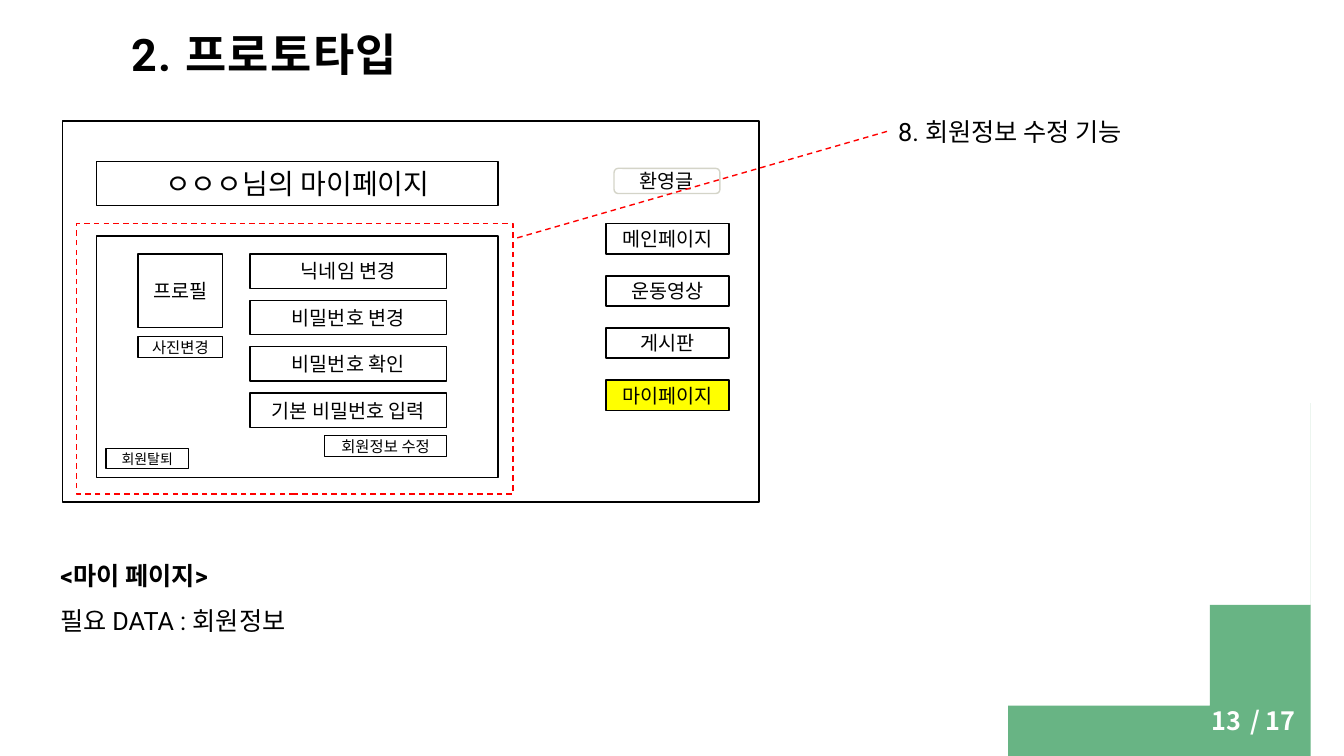
"""Builds the my-page prototype slide with its wireframe, callout and page number."""
import pptx
import pptx.util
import pptx.dml.color
import pptx.enum.dml
import pptx.enum.shapes
import pptx.enum.text
import pptx.oxml
import pptx.oxml.ns

Inches, Pt = pptx.util.Inches, pptx.util.Pt
RGBColor = pptx.dml.color.RGBColor
SHAPE = pptx.enum.shapes.MSO_SHAPE
ANCHOR = pptx.enum.text.MSO_ANCHOR
ALIGN = pptx.enum.text.PP_ALIGN

BLACK = RGBColor(0x00, 0x00, 0x00)
WHITE = RGBColor(0xFF, 0xFF, 0xFF)
GREEN = RGBColor(0x68, 0xB4, 0x84)
YELLOW = RGBColor(0xFF, 0xFF, 0x00)
RED = RGBColor(0xFF, 0x00, 0x00)
GREY = RGBColor(0xD4, 0xD4, 0xC8)
KOREAN, LATIN = "Noto Sans CJK KR", "Roboto"

TITLE = "2. 프로토타입"
CALLOUT = "8. 회원정보 수정 기능"
PAGE_NAME = "<마이 페이지>"
PAGE_DATA = "필요 DATA : 회원정보"
PAGE_NUMBER, PAGE_TOTAL = "13", "/ 17"

MENU = ["메인페이지", "운동영상", "게시판", "마이페이지"]
CURRENT_MENU = "마이페이지"
FIELDS = ["닉네임 변경", "비밀번호 변경", "비밀번호 확인", "기본 비밀번호 입력"]
PANELS = [
    ("", (0.62, 1.2, 6.91, 3.78), 14),
    ("ㅇㅇㅇ님의 마이페이지", (0.96, 1.6, 3.98, 0.44), 20),
    ("", (0.96, 2.34, 3.98, 2.4), 14),
    ("프로필", (1.37, 2.52, 0.84, 0.73), 14),
    ("사진변경", (1.37, 3.34, 0.84, 0.21), 11),
    ("회원정보 수정", (3.22, 4.32, 1.21, 0.21), 11),
    ("회원탈퇴", (1.05, 4.45, 0.82, 0.2), 10),
]
MENU_TOP, MENU_STEP = 2.22, 0.517
FIELD_TOP, FIELD_STEP = 2.52, 0.46
CURVE = [(9.71, 7.5), (11.67, 7.41), (13.23, 5.87), (13.33, 3.96)]
CURVE_STEPS = 60

deck = pptx.Presentation()
deck.slide_width, deck.slide_height = Inches(13.33), Inches(7.5)
slide = deck.slides.add_slide(deck.slide_layouts[6])


def write(frame, text, size=18, font=KOREAN, color=BLACK, bold=False,
          align=ALIGN.LEFT, spacing=None, tracking=None, new=False):
    """Adds one formatted paragraph to a text frame."""
    paragraph = frame.add_paragraph() if new else frame.paragraphs[0]
    paragraph.alignment = align
    if spacing:
        paragraph.line_spacing = spacing
    run = paragraph.add_run()
    run.text = text
    run.font.size, run.font.bold = Pt(size), bold
    run.font.color.rgb = color
    run.font.name = font
    properties = run.font._element
    east_asian = pptx.oxml.parse_xml(
        f'<a:ea {pptx.oxml.ns.nsdecls("a")} typeface="{KOREAN}"/>')
    properties.append(east_asian)
    if tracking:
        properties.set("spc", str(tracking))


def text_box(place):
    """Adds an empty wrapping text box and returns its frame."""
    frame = slide.shapes.add_textbox(*map(Inches, place)).text_frame
    frame.word_wrap = True
    return frame


def panel(text, place, size=14, fill=WHITE, line=BLACK, kind=SHAPE.RECTANGLE):
    """Adds one outlined wireframe part with a centred label."""
    box = slide.shapes.add_shape(kind, *map(Inches, place))
    box.shadow.inherit = False
    if fill is None:
        box.fill.background()
    else:
        box.fill.solid()
        box.fill.fore_color.rgb = fill
    box.line.color.rgb, box.line.width = line, Pt(1)
    if text:
        box.text_frame.word_wrap = True
        box.text_frame.vertical_anchor = ANCHOR.MIDDLE
        write(box.text_frame, text, size=size, align=ALIGN.CENTER)
    return box


def curve_point(t):
    """Returns the point at t on the corner's cubic curve."""
    weights = ((1 - t) ** 3, 3 * t * (1 - t) ** 2, 3 * t * t * (1 - t), t ** 3)
    return tuple(sum(w * p[axis] for w, p in zip(weights, CURVE)) for axis in (0, 1))


corner_points = [curve_point(step / CURVE_STEPS) for step in range(CURVE_STEPS + 1)]
builder = slide.shapes.build_freeform(13.33, 3.78, scale=Inches(1))
builder.add_line_segments([(13.33, 7.5), (9.63, 7.5), *corner_points], close=True)
corner = builder.convert_to_shape()
corner.shadow.inherit = False
corner.fill.solid()
corner.fill.fore_color.rgb = GREEN
corner.line.fill.background()

write(text_box((12.3, 6.95, 1.03, 0.4)), PAGE_TOTAL, color=WHITE, bold=True)
write(text_box((11.92, 6.95, 1.15, 0.4)), PAGE_NUMBER, color=WHITE, bold=True)

title = text_box((1.18, 0.24, 10.88, 0.66))
title.vertical_anchor = ANCHOR.BOTTOM
title.margin_left = title.margin_top = title.margin_right = Inches(0.12)
title.margin_bottom = Inches(0.1)
write(title, TITLE, size=32, font=LATIN, bold=True, spacing=1.1, tracking=100)

for label, place, size in PANELS:
    panel(label, place, size=size)
for row, label in enumerate(MENU):
    panel(label, (6.01, MENU_TOP + row * MENU_STEP, 1.22, 0.3),
          fill=YELLOW if label == CURRENT_MENU else WHITE)
for row, label in enumerate(FIELDS):
    panel(label, (2.48, FIELD_TOP + row * FIELD_STEP, 1.95, 0.34))
panel("환영글", (6.09, 1.67, 1.05, 0.25), line=GREY, kind=SHAPE.ROUNDED_RECTANGLE)

highlight = panel("", (0.76, 2.22, 4.33, 2.68), fill=None, line=RED)
leader = slide.shapes.add_connector(
    pptx.enum.shapes.MSO_CONNECTOR.STRAIGHT, *map(Inches, (5.13, 2.36, 8.81, 1.3)))
leader.line.color.rgb, leader.line.width = RED, Pt(1)
for dashed in (highlight, leader):
    dashed.line.dash_style = pptx.enum.dml.MSO_LINE.DASH
leader._element.spPr.append(
    pptx.oxml.parse_xml(f'<a:effectLst {pptx.oxml.ns.nsdecls("a")}/>'))

write(text_box((8.81, 1.1, 3.88, 0.4)), CALLOUT, font=LATIN)
summary = text_box((0.5, 5.36, 9.18, 0.96))
write(summary, PAGE_NAME, font=LATIN, bold=True, spacing=1.5)
write(summary, PAGE_DATA, font=LATIN, spacing=1.5, new=True)

deck.save("out.pptx")
